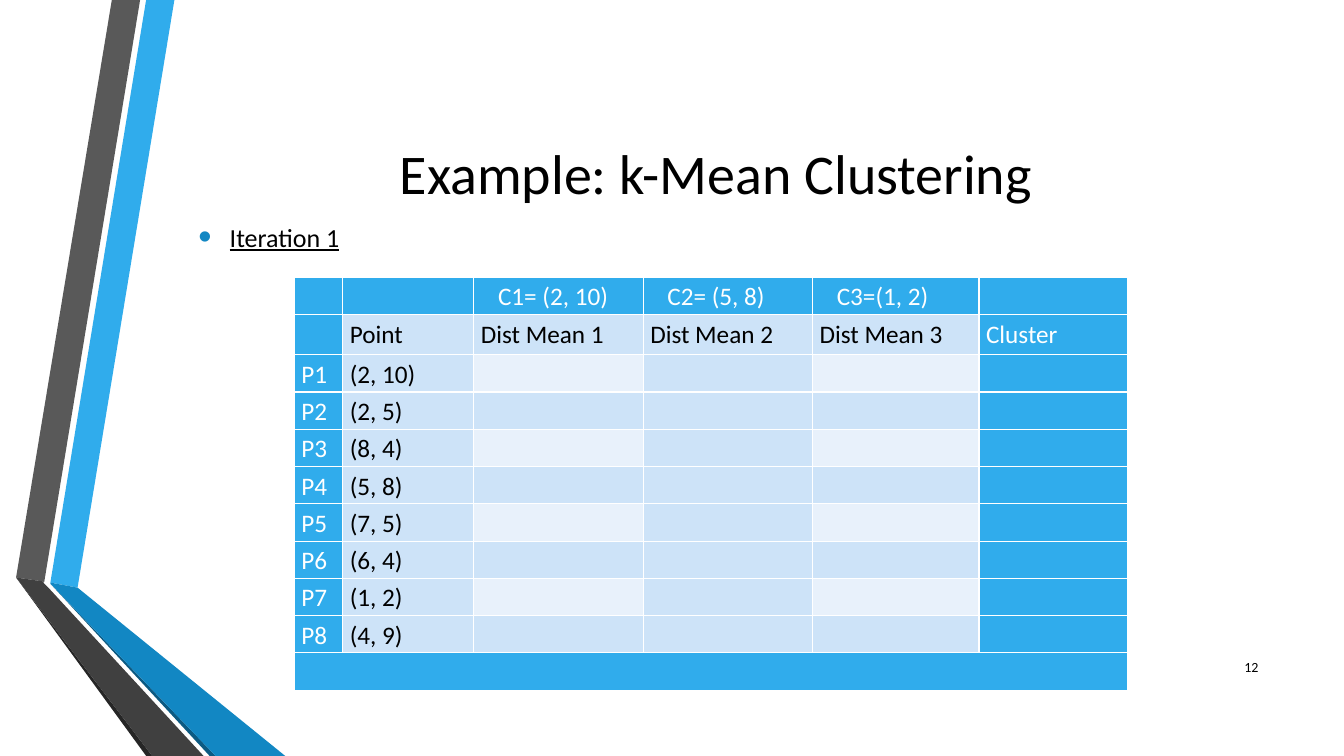
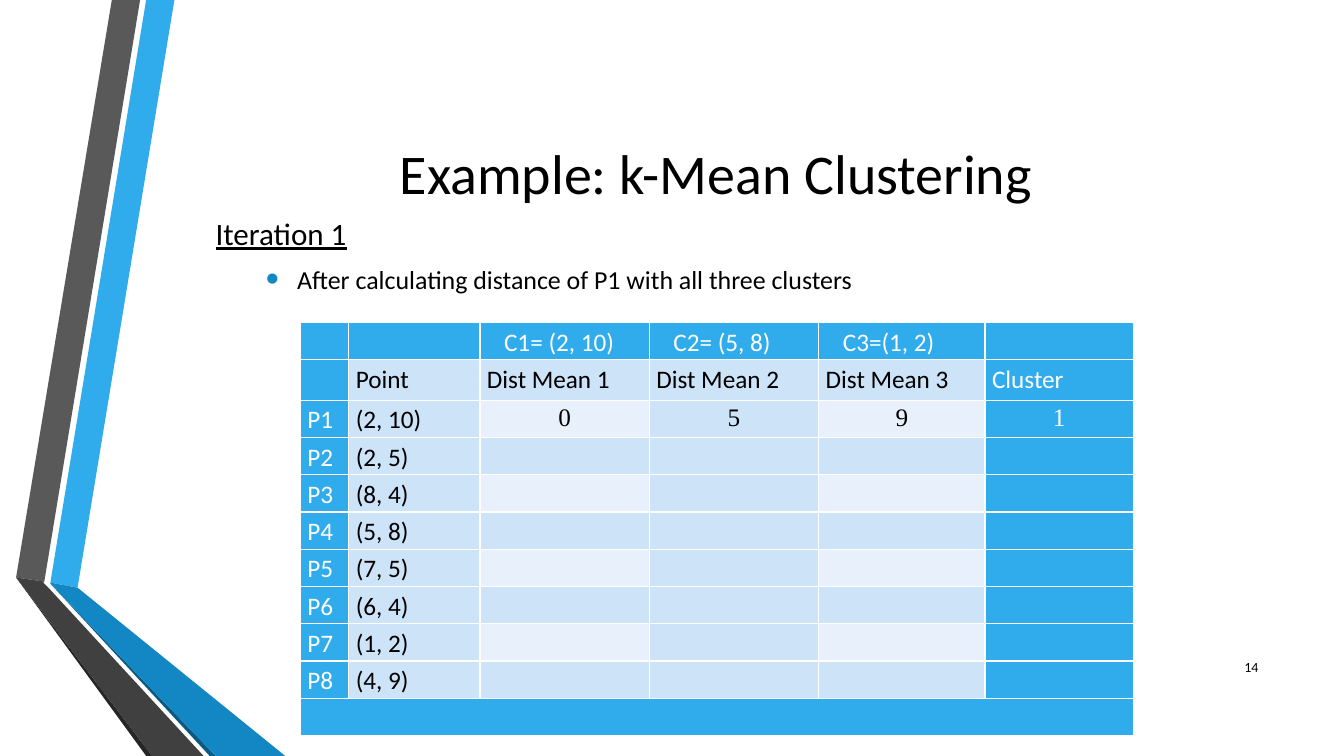
from lxml.etree import SubElement
from pptx import Presentation
from pptx.dml.color import RGBColor
from pptx.enum.text import MSO_ANCHOR as Anchor, PP_ALIGN as Align
from pptx.oxml.ns import qn
from pptx.util import Inches, Pt

BLUE = RGBColor(0x30, 0xAC, 0xEC)
DEEP_BLUE = RGBColor(0x12, 0x87, 0xC3)
NAVY = RGBColor(0x0C, 0x5A, 0x82)
GREY = RGBColor(0x59, 0x59, 0x59)
DARK_GREY = RGBColor(0x40, 0x40, 0x40)
CHARCOAL = RGBColor(0x26, 0x26, 0x26)
PALE_BLUE = RGBColor(0xCD, 0xE3, 0xF8)
PALEST_BLUE = RGBColor(0xE8, 0xF1, 0xFB)
BLACK = RGBColor(0, 0, 0)
WHITE = RGBColor(0xFF, 0xFF, 0xFF)

BODY_FONT = "Calibri"
RESULT_FONT = "Times New Roman"

RIBBONS = [
    (BLUE, [(0.5, 5.78), (0.77, 5.83), (1.73, 0), (1.45, 0)]),
    (GREY, [(1.39, 0), (1.11, 0), (0.16, 5.73), (0.44, 5.77)]),
    (CHARCOAL, [(0.16, 5.73), (1.45, 7.5), (1.51, 7.5)]),
    (NAVY, [(0.5, 5.79), (2.08, 7.5), (2.14, 7.5)]),
    (DEEP_BLUE, [(0.5, 5.79), (2.14, 7.5), (2.83, 7.5), (0.77, 5.83), (0.5, 5.78)]),
    (DARK_GREY, [(2.02, 7.5), (0.48, 5.83), (0.43, 5.78), (0.44, 5.77),
                 (0.16, 5.73), (1.51, 7.5)]),
]

COLUMN_WIDTHS = [0.48, 1.3, 1.68, 1.68, 1.65, 1.47]
ROW_HEIGHT = 0.37
LABEL_ROW_HEIGHT = 0.4
CENTROIDS = ["", "", "C1= (2, 10)", "C2= (5, 8)", "C3=(1, 2)", ""]
LABELS = ["", "Point", "Dist Mean 1", "Dist Mean 2", "Dist Mean 3", "Cluster"]
POINTS = ["(2, 10)", "(2, 5)", "(8, 4)", "(5, 8)", "(7, 5)", "(6, 4)", "(1, 2)", "(4, 9)"]


class Deck:
    def __init__(self):
        self.presentation = Presentation()
        self.presentation.slide_width = Inches(13.33)
        self.presentation.slide_height = Inches(7.5)
        self.slide = None

    def start_slide(self, title, number):
        layout = self.presentation.slide_layouts[6]
        self.slide = self.presentation.slides.add_slide(layout)
        for color, points in RIBBONS:
            self.ribbon(color, points)
        self.line(title, (1.62, 0.75, 10.96, 1.92), 40, Align.CENTER)
        self.line(number, (11.98, 6.42, 0.6, 0.4), 10, Align.RIGHT)

    def ribbon(self, color, points):
        corners = [(Inches(x), Inches(y)) for x, y in points]
        outline = self.slide.shapes.build_freeform(*corners[0])
        outline.add_line_segments(corners[1:], close=True)
        ribbon = outline.convert_to_shape()
        ribbon.shadow.inherit = False
        ribbon.fill.solid()
        ribbon.fill.fore_color.rgb = color
        ribbon.line.fill.background()

    def style(self, font, size, color=BLACK, name=BODY_FONT):
        font.name = name
        font.size = Pt(size)
        font.color.rgb = color

    def text_frame(self, place):
        frame = self.slide.shapes.add_textbox(*map(Inches, place)).text_frame
        frame.word_wrap = True
        frame.vertical_anchor = Anchor.MIDDLE
        return frame

    def line(self, text, place, size, align):
        paragraph = self.text_frame(place).paragraphs[0]
        paragraph.text = text
        paragraph.alignment = align
        self.style(paragraph.font, size)

    def outline_text(self, place, items):
        frame = self.text_frame(place)
        for index, (text, size, underline, indent) in enumerate(items):
            paragraph = frame.add_paragraph() if index else frame.paragraphs[0]
            paragraph.text = text
            self.style(paragraph.font, size)
            paragraph.font.underline = underline
            if index:
                paragraph.space_before = Pt(8)
            if indent:
                self.bullet(paragraph, indent)

    def bullet(self, paragraph, indent):
        properties = paragraph._p.get_or_add_pPr()
        properties.set("marL", str(Inches(indent)))
        properties.set("indent", str(Inches(-0.31)))
        marks = [
            SubElement(properties, qn("a:buClr")),
            SubElement(properties, qn("a:buSzPct"), val="145000"),
            SubElement(properties, qn("a:buFont"), typeface="Arial"),
            SubElement(properties, qn("a:buChar"), char="•"),
        ]
        SubElement(marks[0], qn("a:srgbClr"), val=str(DEEP_BLUE))
        defaults = properties.find(qn("a:defRPr"))
        for mark in marks:
            defaults.addprevious(mark)

    def cell(self, cell, text, fill, color, name, align, left):
        cell.margin_left = Inches(left)
        cell.margin_right = Inches(0.07)
        cell.margin_top = cell.margin_bottom = 0
        self.borders(cell)
        cell.fill.solid()
        cell.fill.fore_color.rgb = fill
        if text:
            paragraph = cell.text_frame.paragraphs[0]
            paragraph.alignment = align
            paragraph.line_spacing = 1.15
            run = paragraph.add_run()
            run.text = text
            self.style(run.font, 18, color, name)

    def borders(self, cell):
        properties = cell._tc.get_or_add_tcPr()
        for side in ("lnL", "lnR", "lnT", "lnB"):
            edge = SubElement(properties, qn(f"a:{side}"), w=str(Pt(1)))
            fill = SubElement(edge, qn("a:solidFill"))
            SubElement(fill, qn("a:srgbClr"), val=str(WHITE))

    def distance_table(self, left, top, results):
        rows = [CENTROIDS, LABELS]
        for index, point in enumerate(POINTS, 1):
            name = f"P{index}"
            rows.append([name, point, *results.get(name, [""] * 4)])
        rows.append([""] * len(COLUMN_WIDTHS))
        heights = [ROW_HEIGHT] * len(rows)
        heights[1] = LABEL_ROW_HEIGHT
        table = self.slide.shapes.add_table(
            len(rows), len(COLUMN_WIDTHS), Inches(left), Inches(top),
            Inches(sum(COLUMN_WIDTHS)), Inches(sum(heights))).table
        table.first_row = table.horz_banding = False
        for column, width in zip(table.columns, COLUMN_WIDTHS):
            column.width = Inches(width)
        last = len(rows) - 1
        for r, (values, height) in enumerate(zip(rows, heights)):
            table.rows[r].height = Inches(height)
            for c, text in enumerate(values):
                strong = r in (0, last) or c in (0, 5)
                light = r >= 2 and r % 2 == 0 and c in (2, 4)
                result = r >= 2 and c >= 2
                self.cell(
                    table.cell(r, c), text,
                    BLUE if strong else PALEST_BLUE if light else PALE_BLUE,
                    WHITE if strong else BLACK,
                    RESULT_FONT if result else BODY_FONT,
                    Align.CENTER if result else Align.LEFT,
                    0.24 if r == 0 else 0.07)
        table.cell(last, 0).merge(table.cell(last, len(COLUMN_WIDTHS) - 1))


TITLE = "Example: k-Mean Clustering"
deck = Deck()

deck.start_slide(TITLE, "12")
deck.outline_text((1.87, 2.13, 2.09, 0.44), [("Iteration 1", 18.6, True, 0.31)])
deck.distance_table(2.92, 2.75, {})

deck.start_slide(TITLE, "14")
deck.outline_text((2.04, 2.11, 8.44, 0.83), [
    ("Iteration 1", 22.2, True, 0),
    ("After calculating distance of P1 with all three clusters", 18.5, False, 0.81),
])
deck.distance_table(2.98, 3.2, {"P1": ["0", "5", "9", "1"]})

deck.presentation.save("out.pptx")
